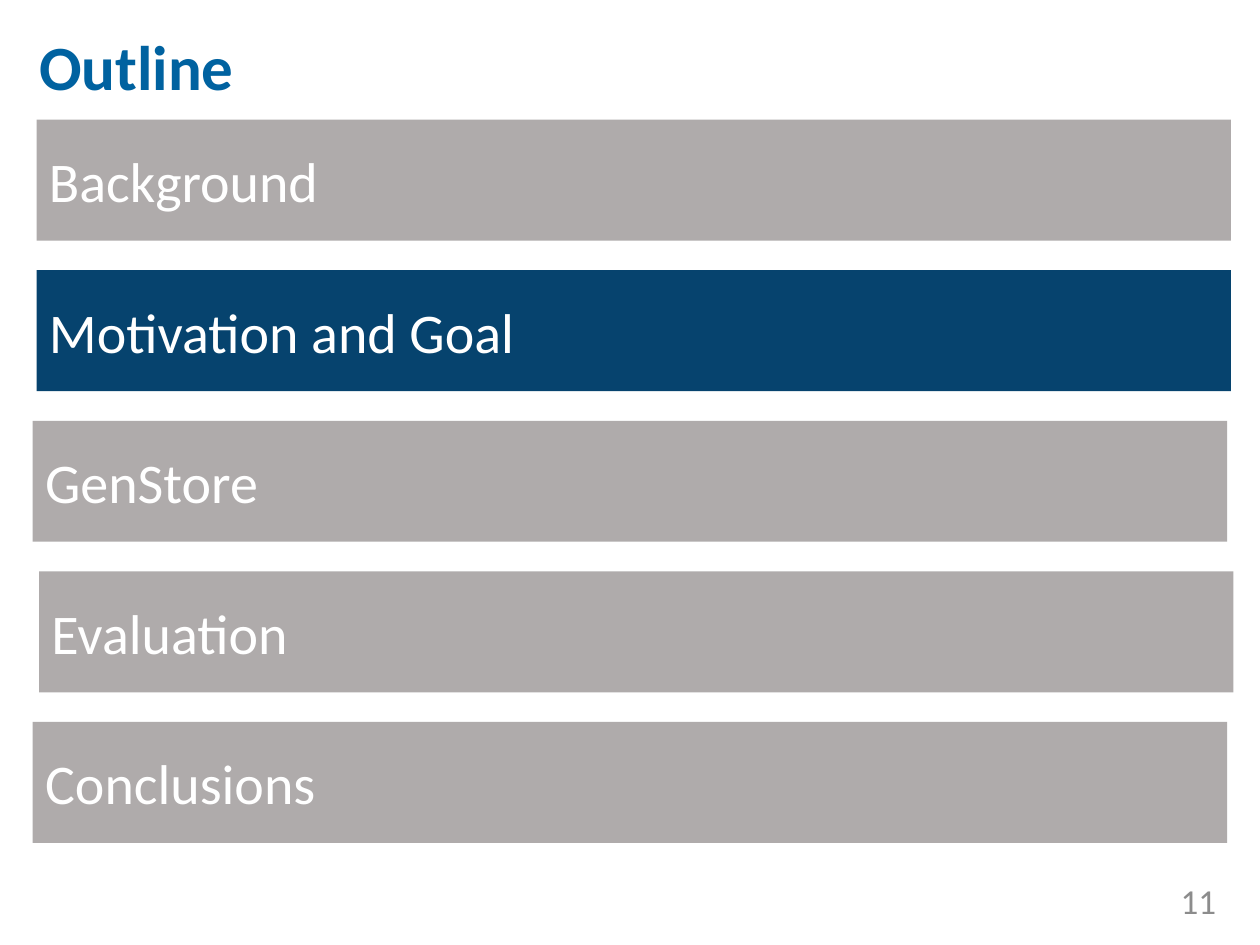
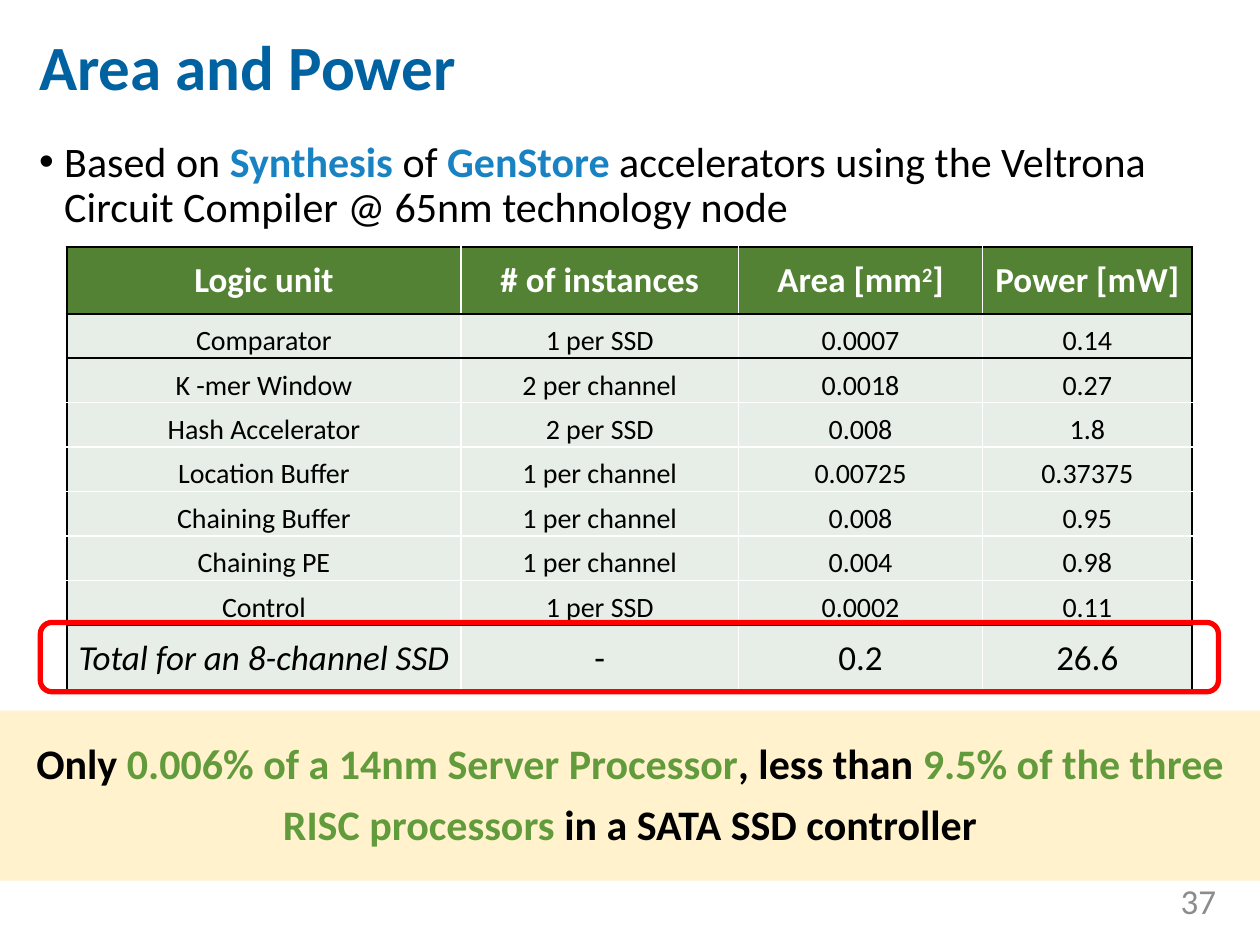
from lxml.etree import SubElement
from pptx import Presentation
from pptx.dml.color import RGBColor
from pptx.enum.shapes import MSO_SHAPE
from pptx.enum.text import MSO_ANCHOR, MSO_AUTO_SIZE, PP_ALIGN
from pptx.oxml.ns import qn
from pptx.util import Inches, Pt

LEFT, CENTER, RIGHT = PP_ALIGN.LEFT, PP_ALIGN.CENTER, PP_ALIGN.RIGHT
TOP, MIDDLE, BOTTOM = MSO_ANCHOR.TOP, MSO_ANCHOR.MIDDLE, MSO_ANCHOR.BOTTOM
RECTANGLE, ROUNDED = MSO_SHAPE.RECTANGLE, MSO_SHAPE.ROUNDED_RECTANGLE
NO_AUTOFIT = MSO_AUTO_SIZE.NONE

BLACK = RGBColor(0x00, 0x00, 0x00)
WHITE = RGBColor(0xFF, 0xFF, 0xFF)
TITLE_BLUE = RGBColor(0x00, 0x62, 0xA0)
ACCENT_BLUE = RGBColor(0x19, 0x82, 0xC3)
NAVY = RGBColor(0x06, 0x43, 0x6E)
BAR_GRAY = RGBColor(0xAF, 0xAB, 0xAB)
NUMBER_GRAY = RGBColor(0x8C, 0x8C, 0x8C)
HEADER_GREEN = RGBColor(0x54, 0x82, 0x35)
CELL_GREEN = RGBColor(0x92, 0xB1, 0x92)
TEXT_GREEN = RGBColor(0x62, 0x9B, 0x3C)
CREAM = RGBColor(0xFF, 0xF2, 0xCC)
RED = RGBColor(0xFF, 0x00, 0x00)

FONT = "Calibri"
COLUMNS, ROWS = 100, 75
TITLE_LAYOUT, LIST_LAYOUT = 5, 1

SECTIONS = ["Background", "Motivation and Goal", "GenStore", "Evaluation", "Conclusions"]
SECTION_LEFTS = [2.9, 2.9, 2.6, 3.1, 2.6]
CURRENT_SECTION = "Motivation and Goal"

UNITS = [
    ["Logic unit", "# of instances", "Area [mm2]", "Power [mW]"],
    ["Comparator", "1 per SSD", "0.0007", "0.14"],
    ["K -mer Window", "2 per channel", "0.0018", "0.27"],
    ["Hash Accelerator", "2 per SSD", "0.008", "1.8"],
    ["Location Buffer", "1 per channel", "0.00725", "0.37375"],
    ["Chaining Buffer", "1 per channel", "0.008", "0.95"],
    ["Chaining PE", "1 per channel", "0.004", "0.98"],
    ["Control", "1 per SSD", "0.0002", "0.11"],
    ["Total for an 8-channel SSD", "-", "0.2", "26.6"],
]


class Deck:
    """Shared style, the grid and the slide being built."""

    def __init__(self):
        self.presentation = Presentation()
        self.presentation.slide_width = Inches(10)
        self.presentation.slide_height = Inches(7.5)
        self.slide = None

    def across(self, columns):
        return round(self.presentation.slide_width * columns / COLUMNS)

    def down(self, rows):
        return round(self.presentation.slide_height * rows / ROWS)

    def box(self, left, top, width, height):
        return self.across(left), self.down(top), self.across(width), self.down(height)

    def add_text(self, paragraph, text, size, color, bold=False, italic=False, raised=False):
        run = paragraph.add_run()
        run.text = text
        font = run.font
        font.name, font.size, font.color.rgb = FONT, Pt(size), color
        font.bold, font.italic = bold, italic
        if raised:
            run._r.get_or_add_rPr().set("baseline", "30000")

    def first_paragraph(self, shape, align, anchor):
        frame = shape.text_frame
        frame.word_wrap = True
        frame.auto_size = NO_AUTOFIT
        frame.vertical_anchor = anchor
        paragraph = frame.paragraphs[0]
        paragraph.alignment = align
        paragraph.space_before = Pt(0)
        return paragraph

    def move(self, shape, *place):
        shape.left, shape.top, shape.width, shape.height = self.box(*place)

    def new_slide(self, layout, title, number):
        layouts = self.presentation.slide_layouts
        self.slide = self.presentation.slides.add_slide(layouts[layout])
        heading = self.slide.shapes.title
        self.move(heading, 2.1, 1, 96.2, 8.4)
        paragraph = self.first_paragraph(heading, LEFT, MIDDLE)
        paragraph.space_after = Pt(6)
        self.add_text(paragraph, title, 36, TITLE_BLUE, bold=True)
        # Page number
        footer = self.slide.shapes.add_textbox(*self.box(86.7, 69.5, 10.8, 4))
        self.add_text(self.first_paragraph(footer, RIGHT, MIDDLE), number, 20, NUMBER_GRAY)

    def bullet(self, pieces):
        body = self.slide.placeholders[1]
        self.move(body, 2.1, 10.7, 96.2, 58.8)
        paragraph = self.first_paragraph(body, LEFT, TOP)
        paragraph.line_spacing = 0.9
        paragraph.space_after = Pt(20)
        properties = paragraph._p.get_or_add_pPr()
        properties.set("marL", str(self.across(2)))
        properties.set("indent", str(-self.across(2)))
        for text, color, bold in pieces:
            self.add_text(paragraph, text, 24, color, bold)

    def panel(self, place, fill=None, line=None, kind=RECTANGLE):
        shape = self.slide.shapes.add_shape(kind, *self.box(*place))
        shape.shadow.inherit = False
        if fill is None:
            shape.fill.background()
        else:
            shape.fill.solid()
            shape.fill.fore_color.rgb = fill
        if line is None:
            shape.line.fill.background()
        else:
            shape.line.color.rgb = line
            shape.line.width = Pt(3)
        return shape

    def section_bar(self, place, text, fill):
        bar = self.panel(place, fill)
        self.add_text(self.first_paragraph(bar, LEFT, MIDDLE), text, 32, WHITE)

    def banner(self, place, pieces):
        band = self.panel(place, CREAM)
        band.text_frame.margin_top = 0
        band.text_frame.margin_bottom = self.down(1.2)
        paragraph = self.first_paragraph(band, CENTER, MIDDLE)
        paragraph.line_spacing = 1.2
        for text, color in pieces:
            self.add_text(paragraph, text, 24, color, bold=True)

    def cell_style(self, cell, fill, opacity, black_sides):
        properties = cell._tc.get_or_add_tcPr()
        for side in "LRTB":
            black = side in black_sides
            line = SubElement(properties, qn("a:ln" + side), w=str(Pt(1.5 if black else 1)))
            paint = SubElement(line, qn("a:solidFill"))
            SubElement(paint, qn("a:srgbClr"), val=str(BLACK if black else WHITE))
        cell.fill.solid()
        cell.fill.fore_color.rgb = fill
        if opacity < 100:
            color = properties.find(qn("a:solidFill"))[0]
            SubElement(color, qn("a:alpha"), val=str(opacity * 1000))
        cell.margin_left = cell.margin_top = cell.margin_right = Inches(0.01)
        cell.margin_bottom = 0

    def unit_table(self, place, widths, tall_row, rows):
        frame = self.slide.shapes.add_table(len(rows), len(widths), *self.box(*place))
        table = frame.table
        table.first_row = table.horz_banding = False
        for column, width in zip(table.columns, widths):
            column.width = self.across(width)
        last_row, last_column = len(rows) - 1, len(widths) - 1
        short_row = (place[3] - 2 * tall_row) / (len(rows) - 2)
        # Rows that have a black rule above or below them
        ruled_above, ruled_below = (0, 1, 2, last_row), (0, 1, last_row - 1, last_row)
        for y, texts in enumerate(rows):
            header, total = y == 0, y == last_row
            table.rows[y].height = self.down(tall_row if header or total else short_row)
            for x, text in enumerate(texts):
                cell = table.cell(y, x)
                black_sides = [side for side, black in (
                    ("L", x == 0), ("R", x == last_column),
                    ("T", y in ruled_above), ("B", y in ruled_below)) if black]
                self.cell_style(cell, HEADER_GREEN if header else CELL_GREEN,
                                100 if header else 21, black_sides)
                cell.vertical_anchor = MIDDLE if header or total else BOTTOM
                paragraph = cell.text_frame.paragraphs[0]
                paragraph.alignment = CENTER
                size = 20 if header or total else 16
                color = WHITE if header else BLACK
                # The exponent of a squared unit is raised
                base, squared, rest = text.partition("2]") if header else (text, "", "")
                self.add_text(paragraph, base, size, color, header, total and x == 0)
                if squared:
                    self.add_text(paragraph, "2", size, color, header, raised=True)
                    self.add_text(paragraph, "]" + rest, size, color, header)


def outline_slide(deck):
    deck.new_slide(TITLE_LAYOUT, "Outline", "11")
    for index, (section, left) in enumerate(zip(SECTIONS, SECTION_LEFTS)):
        fill = NAVY if section == CURRENT_SECTION else BAR_GRAY
        deck.section_bar((left, 9.5 + 11.95 * index, 94.8, 9.6), section, fill)


def area_and_power_slide(deck):
    deck.new_slide(LIST_LAYOUT, "Area and Power", "37")
    deck.bullet([
        ("Based on ", BLACK, False),
        ("Synthesis", ACCENT_BLUE, True),
        (" of ", BLACK, False),
        ("GenStore ", ACCENT_BLUE, True),
        ("accelerators using the Veltrona Circuit Compiler @ 65nm technology node", BLACK, False),
    ])
    deck.unit_table((5.3, 19.6, 89.3, 35.3), [31.3, 22, 19.4, 16.6], 5.3, UNITS)
    # Takeaway and highlight of the total
    deck.banner((0, 56.4, COLUMNS, 13.5), [
        ("Only ", BLACK),
        ("0.006% of a 14nm Server Processor", TEXT_GREEN),
        (", less than ", BLACK),
        ("9.5% of the three RISC processors ", TEXT_GREEN),
        ("in a SATA SSD controller", BLACK),
    ])
    deck.panel((3.2, 49.4, 93.5, 5.5), line=RED, kind=ROUNDED)


def main():
    deck = Deck()
    outline_slide(deck)
    area_and_power_slide(deck)
    deck.presentation.save("out.pptx")


if __name__ == "__main__":
    main()
